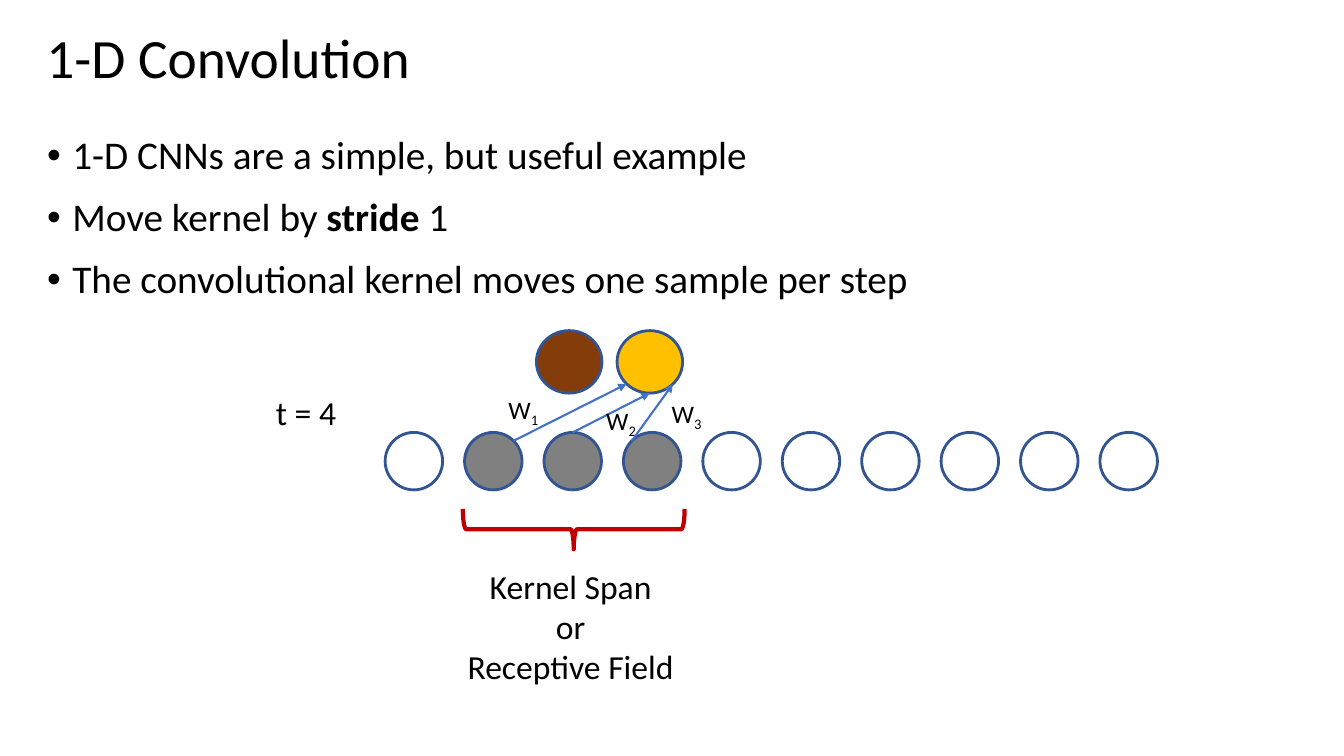
"""Build the 1-D convolution slide."""
from math import cos, radians, sin

from lxml.etree import SubElement
from pptx import Presentation
from pptx.dml.color import RGBColor
from pptx.enum.shapes import MSO_CONNECTOR, MSO_SHAPE
from pptx.enum.text import MSO_ANCHOR, PP_ALIGN
from pptx.oxml.ns import qn
from pptx.util import Inches, Pt

FONT, BLACK, OUTLINE, ARROW, BRACE, KERNEL = (
    "Calibri", "000000", "325491", "4472C4", "C00000", "808080")
TITLE = "1-D Convolution"
BULLETS = [
    [("1-D CNNs are a simple, but useful example", False)],
    [("Move kernel by ", False), ("stride", True), (" 1", False)],
    [("The convolutional kernel moves one sample per step", False)],
]
TIME = "t = 4"
SPAN = ["Kernel Span", "or", "Receptive Field"]
OUTPUTS = ["843C0B", "FFC000"]
WEIGHTS = [("1", 4.93, 3.86, 45, 225), ("2", 5.9, 3.97, 90, 270), ("3", 6.55, 3.9, 135, 315)]

SAMPLES, KERNEL_START = 10, 1
FIRST_X, LAST_X, SAMPLE_Y, SAMPLE_SIZE = 3.82, 10.91, 4.29, 0.57
SAMPLE_PITCH = (LAST_X - FIRST_X) / (SAMPLES - 1)
OUTPUT_X, OUTPUT_Y, OUTPUT_PITCH, OUTPUT_W, OUTPUT_H = 5.32, 3.28, 0.8, 0.65, 0.62


def rgb(value):
    """Turn a hex string into a colour."""
    return RGBColor.from_string(value)


def add_run(p, text, size, bold=False):
    """Append a formatted run to a paragraph."""
    r = p.add_run()
    r.text = text
    r.font.name, r.font.size, r.font.bold = FONT, Pt(size), bold
    r.font.color.rgb = rgb(BLACK)
    return r


def add_text(s, box, count=1, align=PP_ALIGN.CENTER):
    """Add a wrapping text box and return its paragraphs."""
    tf = s.shapes.add_textbox(*map(Inches, box)).text_frame
    tf.word_wrap = True
    for _ in range(count - 1):
        tf.add_paragraph()
    for p in tf.paragraphs:
        p.alignment = align
    return tf.paragraphs


def add_outline(s, kind, box, line, width, fill=None):
    """Add an outlined preset shape, filled if a colour is given."""
    sp = s.shapes.add_shape(kind, *map(Inches, box))
    sp.shadow.inherit = False
    sp.line.color.rgb, sp.line.width = rgb(line), Pt(width)
    if fill:
        sp.fill.solid()
        sp.fill.fore_color.rgb = rgb(fill)
    else:
        sp.fill.background()
    return sp


def add_arrow(s, start, end):
    """Add a straight arrow between two points."""
    c = s.shapes.add_connector(MSO_CONNECTOR.STRAIGHT, *map(Inches, (*start, *end)))
    c.line.color.rgb, c.line.width = rgb(ARROW), Pt(1.5)
    SubElement(c.line._get_or_add_ln(), qn("a:tailEnd"), type="triangle")
    SubElement(c._element.spPr, qn("a:effectLst"))


def sample_box(i):
    """Return the box of input sample i."""
    return FIRST_X + i * SAMPLE_PITCH, SAMPLE_Y, SAMPLE_SIZE, SAMPLE_SIZE


def output_box(i):
    """Return the box of output i."""
    return OUTPUT_X + i * OUTPUT_PITCH, OUTPUT_Y, OUTPUT_W, OUTPUT_H


def rim(box, angle):
    """Return the point on an ellipse at an angle in degrees."""
    x, y, w, h = box
    a = radians(angle)
    return x + w / 2 * (1 + cos(a)), y + h / 2 * (1 - sin(a))


def add_heading(s):
    """Fill the title and the bullet list."""
    title = s.shapes.title
    title.left, title.top, title.width, title.height = map(Inches, (0.36, 0.23, 12.74, 0.74))
    tf = title.text_frame
    tf.vertical_anchor = MSO_ANCHOR.MIDDLE
    p = tf.paragraphs[0]
    p.alignment, p.line_spacing = PP_ALIGN.LEFT, 0.9
    add_run(p, TITLE, 39.6)
    paragraphs = add_text(s, (0.37, 1.3, 12.6, 1.89), len(BULLETS), PP_ALIGN.LEFT)
    for p, runs in zip(paragraphs, BULLETS):
        p.line_spacing, p.space_before = 0.9, Pt(14)
        pPr = p._p.get_or_add_pPr()
        pPr.set("marL", str(Inches(0.25)))
        pPr.set("indent", str(-Inches(0.25)))
        SubElement(pPr, qn("a:buFont"), typeface="Arial")
        SubElement(pPr, qn("a:buChar"), char="•")
        for text, bold in runs:
            add_run(p, text, 28, bold)


def add_diagram(s):
    """Draw samples, kernel, outputs, weights and labels."""
    kernel = range(KERNEL_START, KERNEL_START + len(WEIGHTS))
    for i in range(SAMPLES):
        fill = KERNEL if i in kernel else None
        add_outline(s, MSO_SHAPE.OVAL, sample_box(i), OUTLINE, 2, fill)
    add_run(add_text(s, (2.55, 3.84, 0.97, 0.5))[0], TIME, 24)
    brace = add_outline(s, MSO_SHAPE.RIGHT_BRACE, (5.49, 4.15, 0.4, 2.2), BRACE, 3)
    brace.rotation = 90
    for p, text in zip(add_text(s, (4.51, 5.56, 2.3, 1.31), len(SPAN)), SPAN):
        add_run(p, text, 24)
    for i, fill in enumerate(OUTPUTS):
        add_outline(s, MSO_SHAPE.OVAL, output_box(i), OUTLINE, 2, fill)
    target = output_box(len(OUTPUTS) - 1)
    for i, (index, x, y, leave, arrive) in zip(kernel, WEIGHTS):
        add_arrow(s, rim(sample_box(i), leave), rim(target, arrive))
        p = add_text(s, (x, y, 0.52, 0.4))[0]
        add_run(p, "W", 18)
        add_run(p, index, 18).font._element.set("baseline", "-25000")


def main():
    """Create and save the slide."""
    prs = Presentation()
    prs.slide_width, prs.slide_height = Inches(13.33), Inches(7.5)
    s = prs.slides.add_slide(prs.slide_layouts[5])
    add_heading(s)
    add_diagram(s)
    prs.save("out.pptx")


if __name__ == "__main__":
    main()
